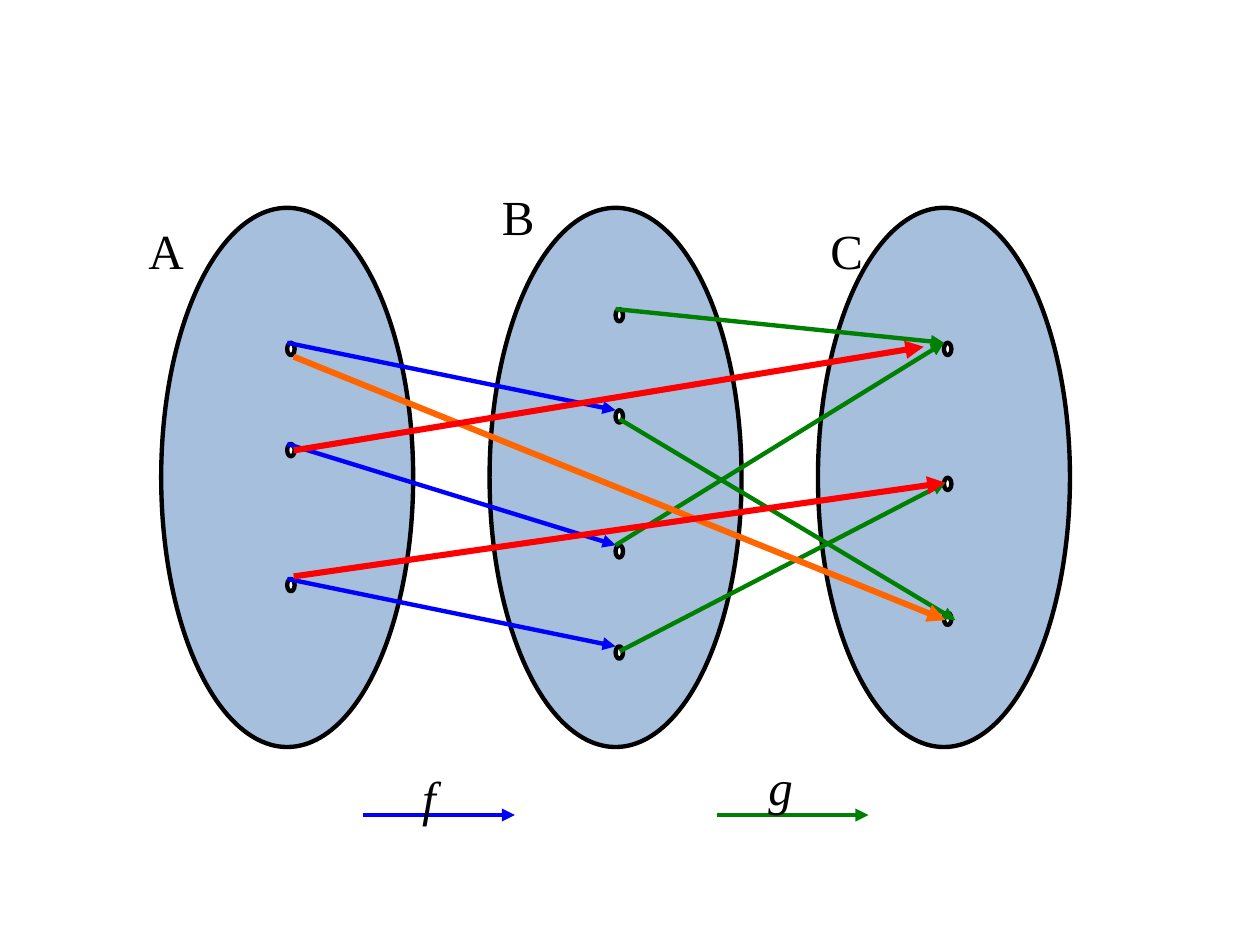
from dataclasses import dataclass

from pptx import Presentation
from pptx.dml.color import RGBColor
from pptx.enum.shapes import MSO_CONNECTOR as CONN, MSO_SHAPE as SHAPE
from pptx.enum.text import PP_ALIGN as ALIGN
from pptx.oxml.ns import qn
from pptx.util import Cm, Pt
from lxml.etree import SubElement


@dataclass(frozen=True)
class Theme:
    """Colours, type and line weights."""
    font: str = "Times New Roman"
    size: int = 28
    ink: str = "000000"
    set_fill: str = "4F81BD"
    dot_fill: str = "FFFFFF"
    f: str = "0000FF"
    g: str = "008000"
    crossing: str = "FF6600"
    composed: str = "FF0000"
    thin: float = 2.5
    thick: float = 3.5


T = Theme()
SET_LEFT, SET_TOP, SET_W, SET_H, SET_PITCH = 3.25, 4.19, 5.08, 10.87, 6.62
DOT_X, DOT_W, DOT_H, ROW = 2.54, 0.15, 0.25, 0.68
SETS = [
    ("A", (4, 7, 11), (-0.51, 0.03), 1.52),
    ("B", (3, 6, 10, 13), (0, -0.66), 2.03),
    ("C", (4, 8, 12), (0, 0.03), 2.03),
]
CORNER = (0, 0)
MAPPINGS = [
    (T.f, T.thin, (0, 4, CORNER), (1, 6, CORNER)),
    (T.f, T.thin, (0, 7, CORNER), (1, 10, CORNER)),
    (T.f, T.thin, (0, 11, CORNER), (1, 13, CORNER)),
    (T.g, T.thin, (1, 3, CORNER), (2, 4, CORNER)),
    (T.g, T.thin, (1, 10, CORNER), (2, 4, CORNER)),
    (T.g, T.thin, (1, 6, (0.08, 0.18)), (2, 12, (0.23, 0.15))),
    (T.g, T.thin, (1, 13, (0.08, 0.1)), (2, 8, (0.03, 0.1))),
    (T.crossing, T.thick, (0, 4, (0.13, 0.28)), (2, 12, (0.03, 0.15))),
    (T.composed, T.thick, (0, 7, (0.13, 0.13)), (2, 4, (-0.41, 0.08))),
    (T.composed, T.thick, (0, 11, (0.13, -0.05)), (2, 8, (0.03, 0.1))),
]


def add_oval(s, x, y, w, h, color, alpha=None):
    """Add an outlined ellipse with an optional opacity in percent."""
    sp = s.shapes.add_shape(SHAPE.OVAL, Cm(x), Cm(y), Cm(w), Cm(h))
    sp.shadow.inherit = False
    sp.fill.solid()
    sp.fill.fore_color.rgb = RGBColor.from_string(color)
    sp.line.color.rgb = RGBColor.from_string(T.ink)
    sp.line.width = Pt(T.thin)
    if alpha is not None:
        clr = sp.fill._xPr.find(qn("a:solidFill"))[0]
        SubElement(clr, qn("a:alpha"), val=str(alpha * 1000))


def add_arrow(s, start, end, color, width):
    """Add a straight arrow between two points."""
    cx = s.shapes.add_connector(CONN.STRAIGHT, *map(Cm, start + end))
    cx.line.color.rgb = RGBColor.from_string(color)
    cx.line.width = Pt(width)
    SubElement(cx.line._get_or_add_ln(), qn("a:tailEnd"), type="triangle")
    SubElement(cx._element.spPr, qn("a:effectLst"))


def add_label(s, x, y, w, text, italic=False):
    """Add a justified one-letter label."""
    tf = s.shapes.add_textbox(Cm(x), Cm(y), Cm(w), Cm(2.03)).text_frame
    tf.word_wrap = True
    tf.margin_top = Cm(0.23)
    p = tf.paragraphs[0]
    p.alignment = ALIGN.JUSTIFY
    r = p.add_run()
    r.text = text
    r.font.name = T.font
    r.font.size = Pt(T.size)
    r.font.italic = italic
    r.font.color.rgb = RGBColor.from_string(T.ink)


def add_set(s, x, y, name, rows, offset, label_w):
    """Draw one set with its elements and name."""
    add_oval(s, x, y, SET_W, SET_H, T.set_fill, 50)
    for row in rows:
        add_oval(s, x + DOT_X, y + row * ROW, DOT_W, DOT_H, T.dot_fill)
    add_label(s, x + offset[0], y + offset[1], label_w, name)


def add_mappings(s, x, y):
    """Draw the arrows between elements of the sets."""
    def point(index, row, offset):
        """Locate an arrow end by set, row and offset."""
        return (x + index * SET_PITCH + DOT_X + offset[0],
                y + row * ROW + offset[1])

    for color, width, start, end in MAPPINGS:
        add_arrow(s, point(*start), point(*end), color, width)


def add_key(s, x, y, name, color, dx, dy):
    """Draw a function's key arrow and name."""
    add_arrow(s, (x, y), (x + 3.06, y), color, T.thin)
    add_label(s, x + dx, y + dy, 1.52, name, italic=True)


def main():
    """Build the composition diagram."""
    prs = Presentation()
    prs.slide_width, prs.slide_height = Cm(25.4), Cm(19.05)
    s = prs.slides.add_slide(prs.slide_layouts[6])
    for i, item in enumerate(SETS):
        add_set(s, SET_LEFT + i * SET_PITCH, SET_TOP, *item)
    add_mappings(s, SET_LEFT, SET_TOP)
    add_key(s, 7.32, 16.43, "f", T.f, 0.94, -1.19)
    add_key(s, 14.45, 16.43, "g", T.g, 0.79, -1.4)
    prs.save("out.pptx")


if __name__ == "__main__":
    main()
